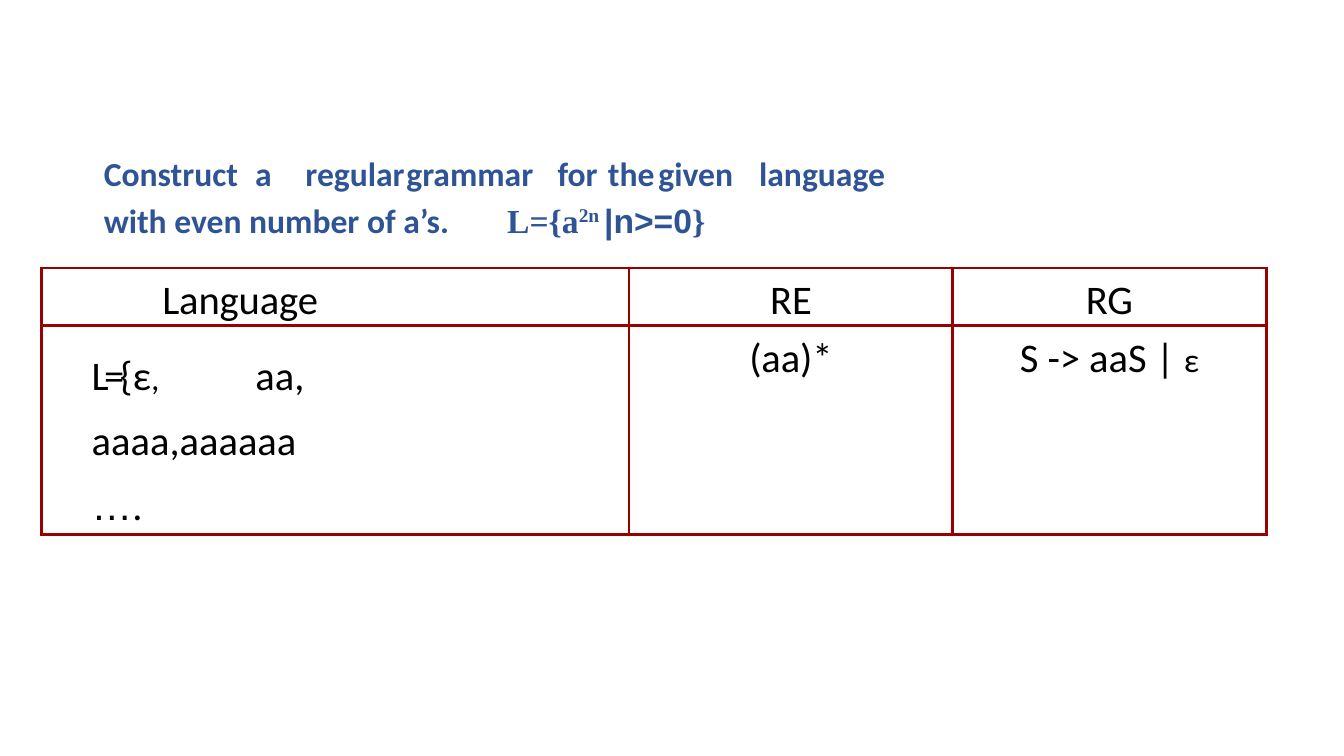
import pptx
import pptx.dml.color
import pptx.enum.text
import pptx.oxml.ns
import pptx.util
from lxml import etree

Inches = pptx.util.Inches
Pt = pptx.util.Pt
ALIGN = pptx.enum.text.PP_ALIGN
ANCHOR = pptx.enum.text.MSO_ANCHOR

BLUE = pptx.dml.color.RGBColor(0x2F, 0x54, 0x96)
BLACK = pptx.dml.color.RGBColor(0, 0, 0)
BORDER_RED = pptx.dml.color.RGBColor(0x99, 0, 0)
BODY_FONT = "Calibri"
BODY_SIZE = 29


def add_xml(parent, tag, **attributes):
    return etree.SubElement(parent, pptx.oxml.ns.qn(tag), attributes)


class GrammarSlide:
    def __init__(self, deck):
        self.slide = deck.slides.add_slide(deck.slide_layouts[5])

    def add_run(self, paragraph, text, size=BODY_SIZE, font=BODY_FONT,
                color=BLACK, bold=False, spacing=0, baseline=0):
        """Append a run; spacing is in points and baseline in percent."""
        run = paragraph.add_run()
        run.text = text
        run.font.size = Pt(size)
        run.font.name = font
        run.font.bold = bold
        run.font.color.rgb = color
        properties = run._r.get_or_add_rPr()
        if spacing:
            properties.set("spc", str(round(spacing * 100)))
        if baseline:
            properties.set("baseline", str(baseline * 1000))

    def add_title(self, runs, left, top, width, height, tabs):
        title = self.slide.shapes.title
        title.left, title.top = Inches(left), Inches(top)
        title.width, title.height = Inches(width), Inches(height)
        frame = title.text_frame
        frame.word_wrap = True
        frame.auto_size = pptx.enum.text.MSO_AUTO_SIZE.NONE
        frame.vertical_anchor = ANCHOR.TOP
        frame.margin_left = frame.margin_right = frame.margin_bottom = 0
        frame.margin_top = Inches(0.01)
        paragraph = frame.paragraphs[0]
        properties = paragraph._p.get_or_add_pPr()
        properties.set("marL", str(Inches(0.03)))
        properties.set("indent", "0")
        tab_list = add_xml(properties, "a:tabLst")
        for position in tabs:
            add_xml(tab_list, "a:tab", pos=str(Inches(position)), algn="l")
        paragraph.alignment = ALIGN.LEFT
        paragraph.line_spacing = 1.15
        paragraph.space_before = Pt(0)
        for text, style in runs:
            self.add_run(paragraph, text, color=BLUE, bold=True, **style)

    def add_table(self, left, top, widths, heights):
        table = self.slide.shapes.add_table(
            len(heights), len(widths), Inches(left), Inches(top),
            Inches(sum(widths)), Inches(sum(heights))).table
        table.first_row = table.horz_banding = False
        for column, width in zip(table.columns, widths):
            column.width = Inches(width)
        for row, height in zip(table.rows, heights):
            row.height = Inches(height)
        return table

    def fill_cell(self, cell, runs, align=ALIGN.CENTER, left=0, right=0,
                  top=0.08, line_spacing=None):
        cell.margin_left, cell.margin_right = Inches(left), Inches(right)
        cell.margin_top, cell.margin_bottom = Inches(top), 0
        properties = cell._tc.get_or_add_tcPr()
        for side in ("a:lnL", "a:lnR", "a:lnT", "a:lnB"):
            line = add_xml(properties, side, w=str(Pt(2.25)))
            add_xml(add_xml(line, "a:solidFill"), "a:srgbClr",
                    val=str(BORDER_RED))
        cell.fill.background()
        paragraph = cell.text_frame.paragraphs[0]
        paragraph.alignment = align
        if line_spacing:
            paragraph.line_spacing = Pt(line_spacing)
        for text, style in runs:
            self.add_run(paragraph, text, **style)


def main():
    deck = pptx.Presentation()
    deck.slide_width, deck.slide_height = Inches(13.33), Inches(7.5)
    page = GrammarSlide(deck)

    serif = {"size": 24, "font": "Times New Roman"}
    page.add_title(
        [("Construct\ta\tregular\tgrammar\tfor\tthe\tgiven\tlanguage\t"
          "with even number of a’s.\t\t", {"size": 24}),
         ("L={a", serif),
         ("2n ", {**serif, "baseline": 32}),
         ("|n>=0", {"size": 24, "font": "Arial"}),
         ("}", serif)],
        1, 1.45, 8.45, 0.91,
        tabs=(1.51, 1.82, 2.95, 3.01, 4.36, 4.91, 5.51, 6.4))

    tight = {"spacing": -0.1}
    grammar = page.add_table(0.41, 2.66, (5.83, 3.21, 3.11), (0.56, 2.07))
    page.fill_cell(grammar.cell(0, 0), [("Language", tight)],
                   align=ALIGN.LEFT, left=1.2)
    page.fill_cell(grammar.cell(0, 1), [("RE", tight)])
    page.fill_cell(grammar.cell(0, 2), [("RG", tight)])
    page.fill_cell(
        grammar.cell(1, 0),
        [("L={", {"spacing": -3.3}), ("ε", {}),
         (", ", {"size": 24, "spacing": -3.3}), ("aa, aaaa,aaaaaa", {}),
         ("…", {"font": "Arial"}), (".", {})],
        align=ALIGN.JUSTIFY, left=0.5, right=3.22, top=0.1,
        line_spacing=46.5)
    page.fill_cell(grammar.cell(1, 1), [("(aa)*", tight)])
    page.fill_cell(grammar.cell(1, 2),
                   [("S ", {}), ("-> ", tight), ("aaS | ", {}),
                    ("ε", {"size": 24})])
    deck.save("out.pptx")


if __name__ == "__main__":
    main()
